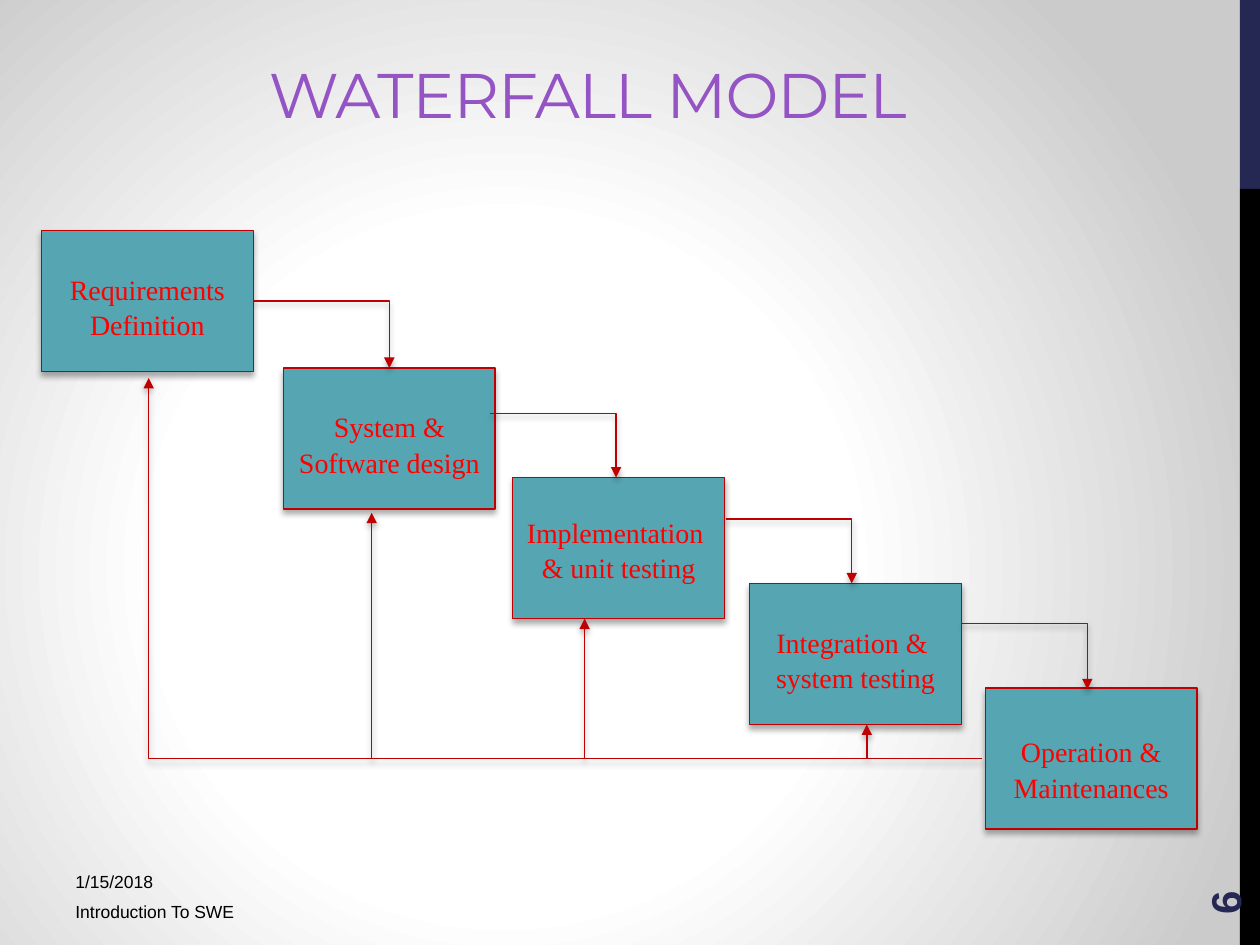
from lxml import etree
from pptx import Presentation
from pptx.dml.color import RGBColor
from pptx.enum.shapes import MSO_CONNECTOR as CONN, MSO_SHAPE as SHAPE
from pptx.enum.text import MSO_ANCHOR as ANCHOR, PP_ALIGN as ALIGN
from pptx.oxml import parse_xml
from pptx.oxml.ns import nsdecls, qn
from pptx.util import Inches, Pt

NAVY = RGBColor(0x24, 0x28, 0x52)
BLACK = RGBColor(0, 0, 0)
PURPLE = RGBColor(0x94, 0x54, 0xC3)
TEAL = RGBColor(0x56, 0xA5, 0xB2)
DARK_RED = RGBColor(0xC0, 0, 0)
RED = RGBColor(0xFF, 0, 0)

SHADOW = f"""<a:effectLst {nsdecls('a')}>
  <a:outerShdw blurRad="44450" dist="27940" dir="5400000" rotWithShape="0">
    <a:srgbClr val="000000"><a:alpha val="32000"/></a:srgbClr>
  </a:outerShdw></a:effectLst>"""
GRADIENT = f"""<a:gradFill {nsdecls('a')} rotWithShape="1"><a:gsLst>
  <a:gs pos="0"><a:srgbClr val="FFFFFF"/></a:gs>
  <a:gs pos="44000"><a:srgbClr val="FFFFFF"/></a:gs>
  <a:gs pos="100000"><a:srgbClr val="CBCBCB"/></a:gs></a:gsLst>
  <a:path path="circle"><a:fillToRect l="40000" t="60000" r="60000" b="40000"/></a:path>
</a:gradFill>"""

prs = Presentation()
prs.slide_width, prs.slide_height = Inches(10), Inches(7.5)
COL, ROW = prs.slide_width / 100, prs.slide_height / 75  # grid of 100 x 75 cells
slide = prs.slides.add_slide(prs.slide_layouts[6])
shapes = slide.shapes


def grid(x, y):
    return int(x * COL), int(y * ROW)


def add_run(p, text, font, size, color):
    r = p.add_run()
    r.text = text
    r.font.name, r.font.size, r.font.color.rgb = font, Pt(size), color
    return r


# Background
fill = slide.background.fill
fill.gradient()
bg_pr = slide.background._cSld.bg.bgPr
bg_pr.replace(bg_pr.find(qn("a:gradFill")), parse_xml(GRADIENT))

# Right-hand bar
for top, height, color in [(0, 15, NAVY), (15, 60, BLACK)]:
    s = shapes.add_shape(SHAPE.RECTANGLE, *grid(98.4, top), *grid(1.6, height))
    s.shadow.inherit = False
    s.fill.solid()
    s.fill.fore_color.rgb = color
    s.line.fill.background()

# Title, date, footer and slide number
labels = [
    ("WATERFALL MODEL", 5, 1.7, 83.3, 9.2, ANCHOR.BOTTOM, "Montserrat", 36, PURPLE),
    ("1/15/2018", 5, 67.5, 37.5, 3.3, ANCHOR.BOTTOM, "Arial", 10, BLACK),
    ("Introduction To SWE", 5, 71, 37.5, 3.1, ANCHOR.TOP, "Arial", 10, BLACK),
    ("6", 90, 64.4, 14.4, 4, ANCHOR.MIDDLE, "Arial", 24, NAVY),
]
for text, x, y, w, h, anchor, font, size, color in labels:
    s = shapes.add_textbox(*grid(x, y), *grid(w, h))
    tf = s.text_frame
    tf.word_wrap, tf.vertical_anchor = True, anchor
    p = tf.paragraphs[0]
    r = add_run(p, text, font, size, color)
    if size == 36:
        p.alignment = ALIGN.CENTER
        r._r.get_or_add_rPr().set("spc", "-60")
    elif size == 24:
        s.rotation, r.font.bold = 270, True
    elif anchor == ANCHOR.BOTTOM:
        tf.margin_bottom = 0

# Phases: left, top, space above the text, lines
phases = [
    (3.3, 18.3, 3.2, ["Requirements", "Definition"]),
    (22.5, 29.2, 3.2, ["System & Software design"]),
    (40.7, 37.9, 2.9, ["Implementation ", "& unit testing"]),
    (59.5, 46.3, 3.2, ["Integration & ", "system testing"]),
    (78.2, 54.6, 3.6, ["Operation &", "Maintenances"]),
]
for x, y, gap, lines in phases:
    s = shapes.add_shape(SHAPE.RECTANGLE, *grid(x, y), *grid(16.8, 11.2))
    s.fill.solid()
    s.fill.fore_color.rgb = TEAL
    s.line.color.rgb, s.line.width = DARK_RED, Pt(0.75)
    s._element.spPr.append(parse_xml(SHADOW))
    tf = s.text_frame
    tf.word_wrap, tf.vertical_anchor = True, ANCHOR.TOP
    tf.margin_top = int(gap * ROW)
    for i, line in enumerate(lines):
        p = tf.add_paragraph() if i else tf.paragraphs[0]
        p.alignment, p.line_spacing = ALIGN.CENTER, 1.05
        add_run(p, line, "Times New Roman", 16, RED)

# Arrows: kind, start, end, half turn
BASE = 60.2
arrows = [
    (CONN.ELBOW, (20.2, 23.9), (30.9, 29.2), False),
    (CONN.ELBOW, (38.9, 32.8), (48.9, 37.9), False),
    (CONN.ELBOW, (57.6, 41.2), (67.6, 46.3), False),
    (CONN.ELBOW, (76.3, 49.5), (86.3, 54.7), False),
    (CONN.ELBOW, (11.8, 30), (77.9, BASE), True),
    (CONN.STRAIGHT, (29.5, BASE), (29.5, 40.7), False),
    (CONN.STRAIGHT, (46.4, BASE), (46.4, 49.1), False),
    (CONN.STRAIGHT, (68.8, BASE), (68.8, 57.5), False),
]
for kind, start, end, half_turn in arrows:
    c = shapes.add_connector(kind, *grid(*start), *grid(*end))
    c.line.color.rgb, c.line.width = DARK_RED, Pt(0.75)
    sp_pr = c._element.spPr
    if kind == CONN.ELBOW:
        sp_pr.find(qn("a:prstGeom")).set("prst", "bentConnector2")
    if half_turn:
        sp_pr.find(qn("a:xfrm")).set("rot", "10800000")
    etree.SubElement(sp_pr.find(qn("a:ln")), qn("a:tailEnd"), type="triangle")
    sp_pr.append(parse_xml(SHADOW))

prs.save("out.pptx")
